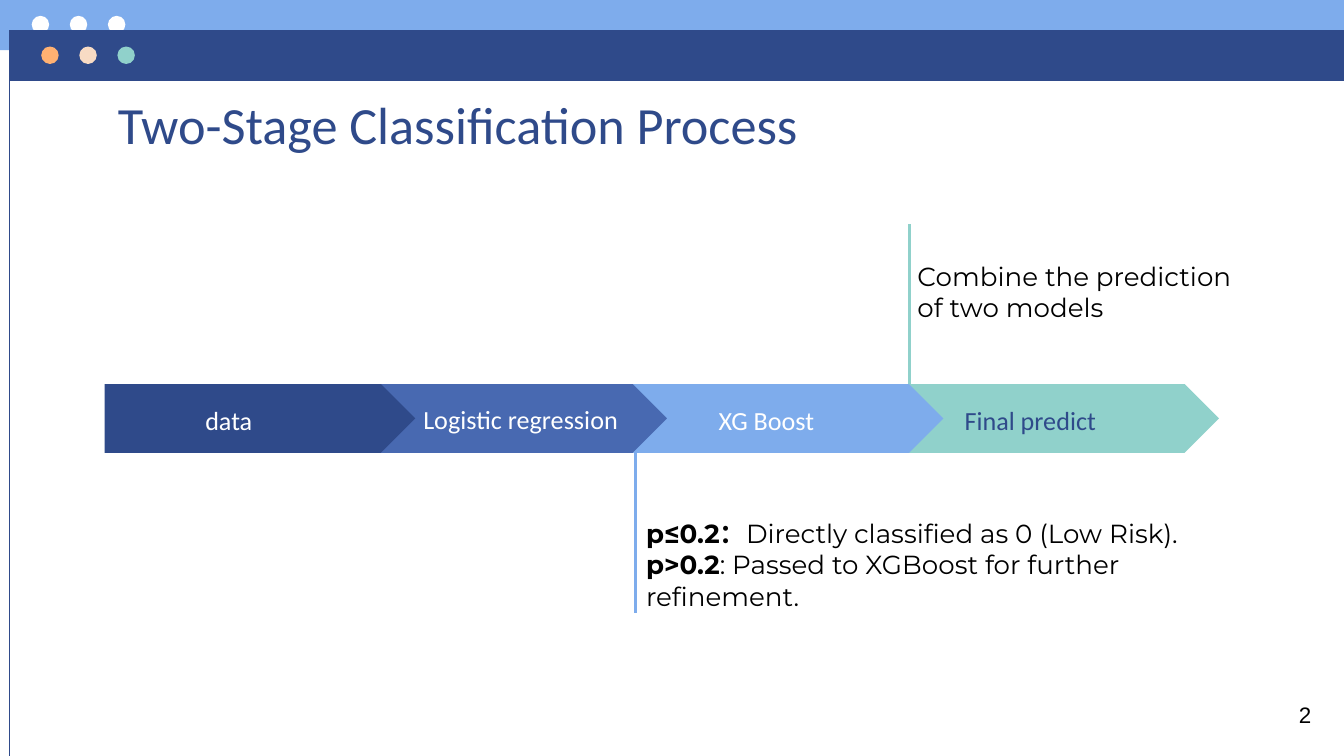
from lxml import etree
from pptx import Presentation
from pptx import util as u
from pptx.dml.color import RGBColor
from pptx.enum import shapes, text
from pptx.oxml import ns

NAVY = RGBColor(0x2F, 0x4A, 0x8A)
BLUE = RGBColor(0x48, 0x69, 0xB1)
SKY = RGBColor(0x7E, 0xAC, 0xEC)
MINT = RGBColor(0x90, 0xD1, 0xCB)
ORANGE = RGBColor(0xFF, 0xB1, 0x72)
PEACH = RGBColor(0xF8, 0xDB, 0xC4)
WHITE = RGBColor(0xFF, 0xFF, 0xFF)
BLACK = RGBColor(0, 0, 0)

STEP_TOP, STEP_WIDTH, STEP_HEIGHT = 7.26, 5.87, 1.3
STEP_BOTTOM = STEP_TOP + STEP_HEIGHT
BRANCH = 3.02
DOT, DOT_PITCH = 0.33, 0.72


def write(frame, paragraphs, size=14, font="Calibri", color=BLACK, inset=0.25, wrap=True):
    frame.word_wrap = wrap
    frame.auto_size = text.MSO_AUTO_SIZE.NONE
    frame.vertical_anchor = text.MSO_ANCHOR.TOP
    frame.margin_left = frame.margin_right = u.Cm(0.25)
    frame.margin_top = frame.margin_bottom = u.Cm(inset)
    for index, runs in enumerate(paragraphs):
        paragraph = frame.add_paragraph() if index else frame.paragraphs[0]
        paragraph.alignment = text.PP_ALIGN.LEFT
        for words, bold in runs:
            run = paragraph.add_run()
            run.text = words
            run.font.size = u.Pt(size)
            run.font.name = font
            run.font.bold = bold
            run.font.color.rgb = color


class Deck:
    def __init__(self):
        self.prs = Presentation()
        self.prs.slide_width, self.prs.slide_height = u.Cm(25.4), u.Cm(14.29)
        self.slide = self.prs.slides.add_slide(self.prs.slide_layouts[5])

    def title(self, words, *box):
        title = self.slide.shapes.title
        title.left, title.top, title.width, title.height = map(u.Cm, box)
        write(title.text_frame, [[(words, False)]], size=28, color=NAVY)

    def shape(self, kind, color, *box):
        shape = self.slide.shapes.add_shape(kind, *map(u.Cm, box))
        shape.shadow.inherit = False
        shape.fill.solid()
        shape.fill.fore_color.rgb = color
        shape.line.fill.background()
        return shape

    def dots(self, left, top, colors):
        for index, color in enumerate(colors):
            self.shape(shapes.MSO_SHAPE.OVAL, color, left + index * DOT_PITCH, top, DOT, DOT)

    def step(self, left, color, kind=shapes.MSO_SHAPE.CHEVRON):
        step = self.shape(kind, color, left, STEP_TOP, STEP_WIDTH, STEP_HEIGHT)
        step.adjustments[0] = 0.5

    def line(self, x, top, bottom, color, width):
        line = self.slide.shapes.add_connector(
            shapes.MSO_CONNECTOR.STRAIGHT, u.Cm(x), u.Cm(top), u.Cm(x), u.Cm(bottom))
        line.line.color.rgb = color
        line.line.width = u.Pt(width)
        etree.SubElement(line._element.spPr, ns.qn("a:effectLst"))

    def label(self, paragraphs, *box, **style):
        label = self.slide.shapes.add_textbox(*map(u.Cm, box))
        write(label.text_frame, paragraphs, **style)

    def save(self):
        self.prs.save("out.pptx")


def main():
    deck = Deck()
    rectangle = shapes.MSO_SHAPE.RECTANGLE
    deck.shape(rectangle, SKY, 0, 0, 25.4, 0.95)
    deck.dots(0.6, 0.3, [WHITE] * 3)
    deck.shape(rectangle, NAVY, 0.18, 0.57, 25.22, 0.96)
    deck.dots(0.78, 0.88, [ORANGE, PEACH, MINT])
    deck.line(0.18, 0.57, 14.29, NAVY, 0.75)

    deck.title("Two-Stage Classification Process", 1.98, 1.5, 21.44, 1.3)

    deck.step(6.96, BLUE)
    deck.step(17.17, MINT)
    deck.line(17.19, STEP_TOP - BRANCH, STEP_TOP, MINT, 1.5)
    deck.step(1.98, NAVY, shapes.MSO_SHAPE.PENTAGON)
    deck.step(11.96, SKY)
    deck.line(12.01, STEP_BOTTOM, STEP_BOTTOM + BRANCH, SKY, 1.5)

    for name, left, top, color in (
        ("data", 3.63, 7.39, WHITE),
        ("Logistic regression", 7.75, 7.37, WHITE),
        ("XG Boost", 13.33, 7.39, WHITE),
        ("Final predict", 17.98, 7.39, NAVY),
    ):
        deck.label([[(name, False)]], left, top, 4.95, 0.71, color=color)

    deck.label([[("Combine the prediction of two models", False)]],
               17.09, 4.67, 6.86, 1.5, font="Montserrat")
    deck.label([[("p≤0.2：", True), ("Directly classified as 0 (Low Risk).", False)],
                [("p>0.2", True), (": Passed to XGBoost for further refinement.", False)]],
               11.96, 9.53, 11.13, 1.5, font="Montserrat")
    deck.label([[("2", False)]], 24.3, 13.13, 0.74, 0.76,
               size=12, font="Arial", inset=0.13, wrap=False)
    deck.save()


if __name__ == "__main__":
    main()
